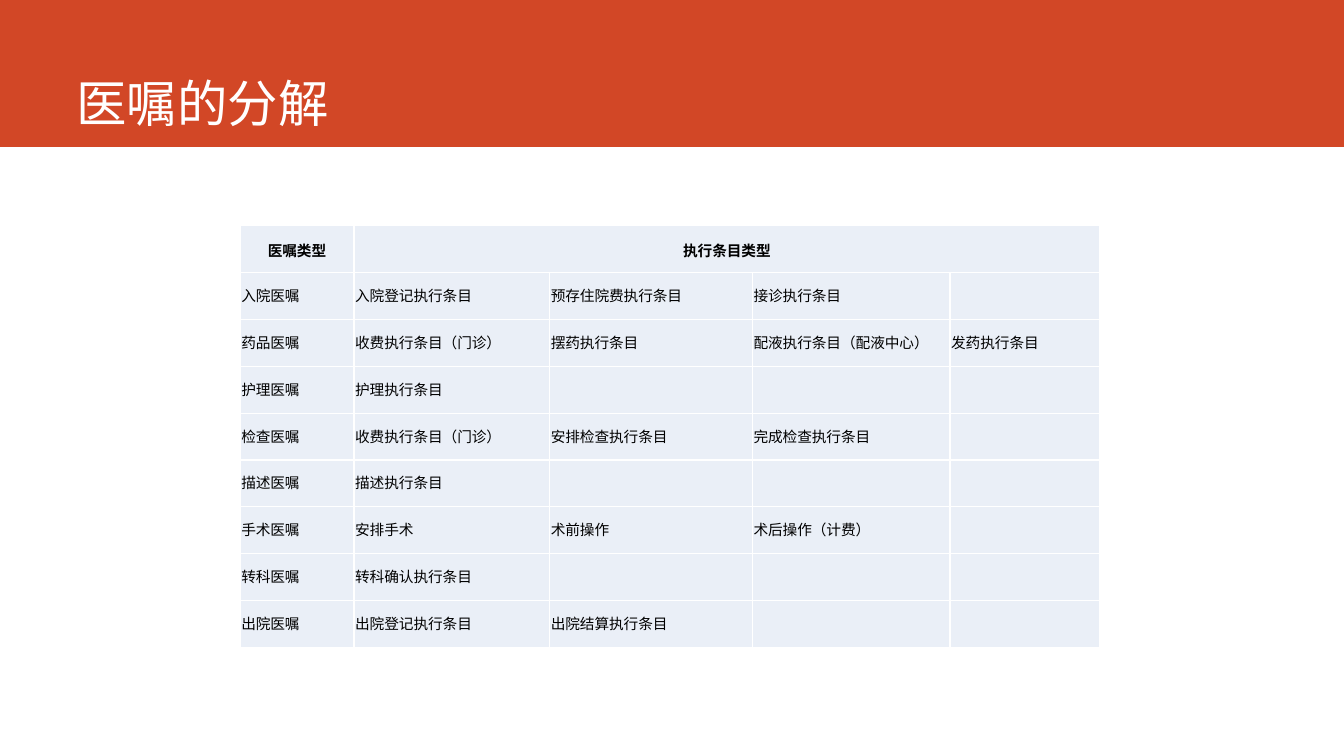
from dataclasses import dataclass

from lxml.etree import SubElement
from pptx import Presentation
from pptx.dml.color import RGBColor
from pptx.enum.shapes import MSO_SHAPE as Preset
from pptx.enum.text import MSO_ANCHOR as Anchor, PP_ALIGN as Align
from pptx.oxml.ns import qn
from pptx.util import Cm, Pt

HEADINGS = ["医嘱类型", "执行条目类型"]
ORDERS = [
    ["入院医嘱", "入院登记执行条目", "预存住院费执行条目", "接诊执行条目"],
    ["药品医嘱", "收费执行条目（门诊）", "摆药执行条目", "配液执行条目（配液中心）", "发药执行条目"],
    ["护理医嘱", "护理执行条目"],
    ["检查医嘱", "收费执行条目（门诊）", "安排检查执行条目", "完成检查执行条目"],
    ["描述医嘱", "描述执行条目"],
    ["手术医嘱", "安排手术", "术前操作", "术后操作（计费）"],
    ["转科医嘱", "转科确认执行条目"],
    ["出院医嘱", "出院登记执行条目", "出院结算执行条目"],
]
COLUMN_WIDTHS = [2.87, 4.93, 5.11, 4.98, 3.78]
ROW_HEIGHT = 1.18


@dataclass(frozen=True)
class Theme:
    banner: str = "D24726"
    cell: str = "EAEFF7"
    border: str = "FFFFFF"
    title: str = "FFFFFF"
    text: str = "000000"
    heading_font: str = "Noto Sans CJK SC"
    body_font: str = "Roboto"
    title_size: float = 36
    table_size: float = 10.5
    border_width: float = 1


class SlideBuilder:
    def __init__(self, slide, theme):
        self.slide = slide
        self.theme = theme

    def add_run(self, paragraph, text, font_name, size, color, bold=False):
        run = paragraph.add_run()
        run.text = text
        font = run.font
        font.name, font.size, font.bold = font_name, Pt(size), bold
        font.color.rgb = RGBColor.from_string(color)
        SubElement(font._element, qn("a:ea"), typeface=font_name)

    def add_banner(self, width, height):
        banner = self.slide.shapes.add_shape(Preset.RECTANGLE, 0, 0, width, height)
        banner.shadow.inherit = False
        banner.fill.solid()
        banner.fill.fore_color.rgb = RGBColor.from_string(self.theme.banner)
        banner.line.fill.background()

    def add_title(self, text, left, top, width, height):
        theme = self.theme
        frame = self.slide.shapes.add_textbox(left, top, width, height).text_frame
        frame.word_wrap = True
        frame.vertical_anchor = Anchor.BOTTOM
        frame.margin_bottom = 0
        paragraph = frame.paragraphs[0]
        self.add_run(paragraph, text, theme.heading_font, theme.title_size, theme.title)

    def style_cell(self, cell):
        """Set the insets, borders and fill of a cell."""
        cell.vertical_anchor = Anchor.MIDDLE
        cell.margin_left = cell.margin_right = cell.margin_top = Cm(0.03)
        cell.margin_bottom = 0
        properties = cell._tc.get_or_add_tcPr()
        for side in ("lnL", "lnR", "lnT", "lnB"):
            line = SubElement(properties, qn(f"a:{side}"), w=str(Pt(self.theme.border_width)))
            fill = SubElement(line, qn("a:solidFill"))
            SubElement(fill, qn("a:srgbClr"), val=self.theme.border)
        cell.fill.solid()
        cell.fill.fore_color.rgb = RGBColor.from_string(self.theme.cell)

    def add_table(self, headings, rows, left, top, column_widths, row_height):
        """Add a table whose last heading spans all remaining columns."""
        theme = self.theme
        lines = [headings, *rows]
        table = self.slide.shapes.add_table(
            len(lines), len(column_widths), left, top,
            Cm(sum(column_widths)), Cm(row_height * len(lines)),
        ).table
        for column, width in zip(table.columns, column_widths):
            column.width = Cm(width)
        for row in table.rows:
            row.height = Cm(row_height)
        for cell in table.iter_cells():
            self.style_cell(cell)
        table.cell(0, len(headings) - 1).merge(table.cell(0, len(column_widths) - 1))
        for row_index, line in enumerate(lines):
            is_heading = row_index == 0
            font_name = theme.heading_font if is_heading else theme.body_font
            for column_index, text in enumerate(line):
                paragraph = table.cell(row_index, column_index).text_frame.paragraphs[0]
                paragraph.alignment = Align.CENTER if is_heading else Align.LEFT
                self.add_run(paragraph, text, font_name, theme.table_size, theme.text, is_heading)


def main():
    presentation = Presentation()
    presentation.slide_width = Cm(33.87)
    presentation.slide_height = Cm(19.05)
    slide = presentation.slides.add_slide(presentation.slide_layouts[6])
    builder = SlideBuilder(slide, Theme())
    builder.add_banner(presentation.slide_width, Cm(3.7))
    builder.add_title("医嘱的分解", Cm(1.68), 0, Cm(29.87), Cm(3.35))
    builder.add_table(HEADINGS, ORDERS, Cm(6.05), Cm(5.69), COLUMN_WIDTHS, ROW_HEIGHT)
    presentation.save("out.pptx")


if __name__ == "__main__":
    main()
